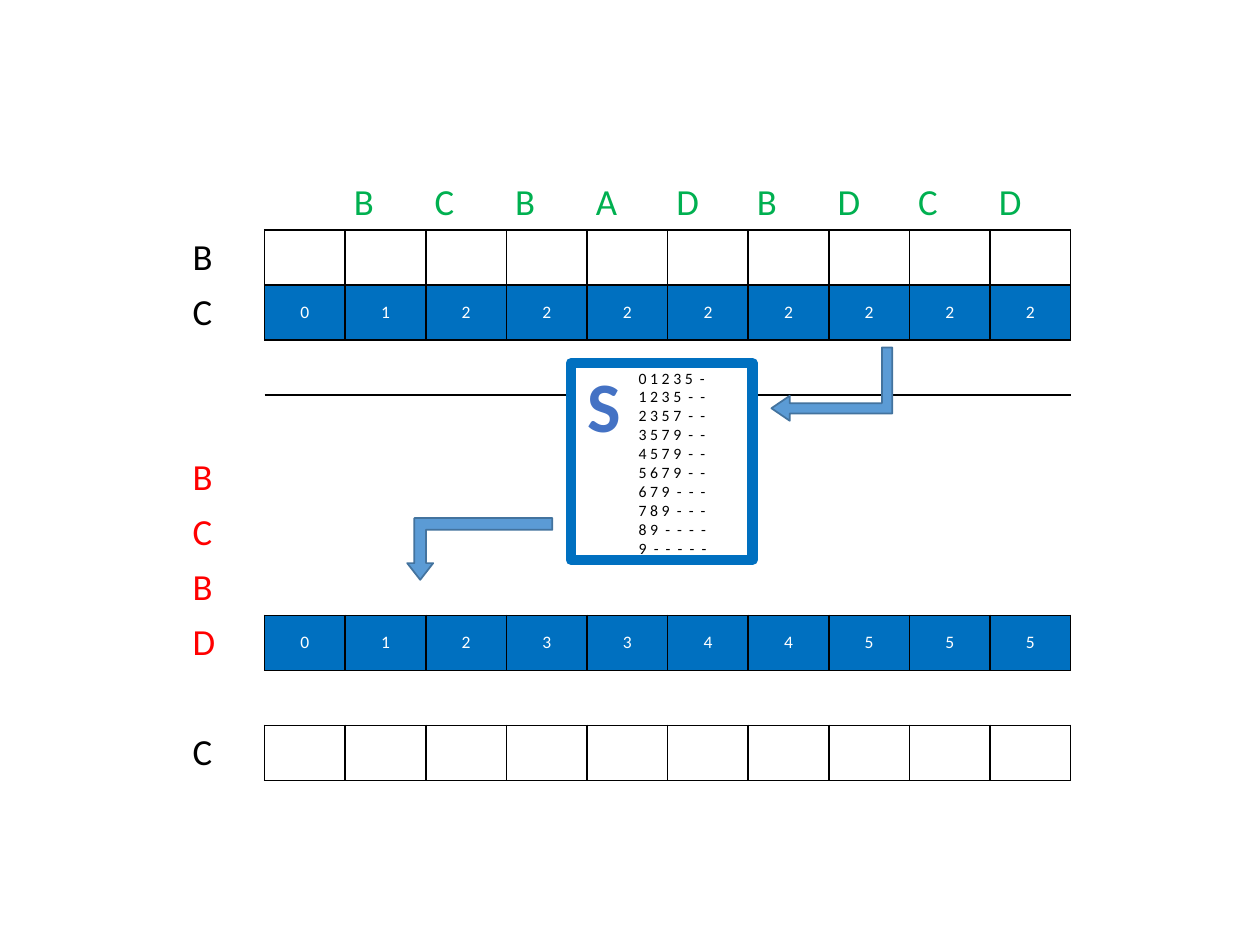
from dataclasses import dataclass

from lxml import etree
from pptx import Presentation
from pptx.dml.color import RGBColor
from pptx.enum.shapes import MSO_SHAPE
from pptx.enum.text import MSO_ANCHOR, PP_ALIGN
from pptx.oxml.ns import qn
from pptx.util import Inches, Pt

ARROW = MSO_SHAPE.BENT_UP_ARROW
RECT = MSO_SHAPE.RECTANGLE
CENTER = PP_ALIGN.CENTER
MIDDLE = MSO_ANCHOR.MIDDLE


@dataclass(frozen=True)
class Theme:
    font: str = "Calibri"
    ink: str = "000000"
    white: str = "FFFFFF"
    green: str = "00B050"
    red: str = "FF0000"
    blue: str = "0070C0"
    arrow: str = "5B9BD5"
    rim: str = "43739E"
    badge: str = "4472C4"
    label: float = 21
    value: float = 10
    code: float = 9
    big: float = 40.5


THEME = Theme()
LEFT, TOP, COL, ROW = 1.46, 1.39, 0.64, 0.43
SIZE = 11
HEAD = "BCBADBDCD"
SIDE = {1: "B", 2: "C", 5: "B", 6: "C", 7: "B", 8: "D", 10: "C"}
RED_ROWS = range(5, 9)
VALUES = {2: "0122222222", 8: "0123344555"}
BOXED = {1, 2, 8, 10}
RULE = 3  # the row with a line below it and no box
CODES = ["01235", "1235", "2357", "3579", "4579",
         "5679", "679", "789", "89", "9"]
CODE_LEN = 6


def rgb(value):
    return RGBColor.from_string(value)


def place(col, row, wide, high):
    """Turn grid columns and rows into left, top, width and height."""
    return (Inches(LEFT + col * COL), Inches(TOP + row * ROW),
            Inches(wide * COL), Inches(high * ROW))


def style(para, size, color, align=None, bold=False):
    para.font.name = THEME.font
    para.font.size = Pt(size)
    para.font.color.rgb = rgb(color)
    para.font.bold = bold
    para.alignment = align


def inset(item):
    item.margin_left = item.margin_right = Inches(0.07)
    item.margin_top = item.margin_bottom = Inches(0.04)


def boxed(row, col):
    return col > 0 and row in BOXED


def edges(cell, row, col):
    """Draw the sides shared with a boxed cell; hide the others."""
    here = boxed(row, col)
    sides = {
        "L": here or boxed(row, col - 1),
        "R": here or boxed(row, col + 1),
        "T": here or boxed(row - 1, col) or (col > 0 and row == RULE + 1),
        "B": here or boxed(row + 1, col) or (col > 0 and row == RULE),
    }
    props = cell._tc.get_or_add_tcPr()
    for side, shown in sides.items():
        line = etree.SubElement(props, qn(f"a:ln{side}"), w=str(Pt(1)))
        if shown:
            fill = etree.SubElement(line, qn("a:solidFill"))
            etree.SubElement(fill, qn("a:srgbClr"), val=THEME.ink)
        else:
            etree.SubElement(line, qn("a:noFill"))


def content(row, col):
    """Return the text, size, colour and alignment of a cell."""
    if row == 0 and col > 1:
        return HEAD[col - 2], THEME.label, THEME.green, None
    if col == 0:
        color = THEME.red if row in RED_ROWS else THEME.ink
        return SIDE.get(row, ""), THEME.label, color, None
    if row in VALUES:
        return VALUES[row][col - 1], THEME.value, THEME.white, CENTER
    return "", THEME.value, THEME.ink, None


def add_grid(slide):
    table = slide.shapes.add_table(
        SIZE, SIZE, *place(0, 0, SIZE, SIZE)).table
    table.first_row = table.horz_banding = False
    for line in table.rows:
        line.height = Inches(ROW)
    for line in table.columns:
        line.width = Inches(COL)
    for row in range(SIZE):
        for col in range(SIZE):
            cell = table.cell(row, col)
            edges(cell, row, col)
            inset(cell)
            if row in VALUES and col > 0:
                cell.fill.solid()
                cell.fill.fore_color.rgb = rgb(THEME.blue)
                cell.vertical_anchor = MIDDLE
            else:
                cell.fill.background()
            text, *look = content(row, col)
            cell.text = text
            style(cell.text_frame.paragraphs[0], *look)


def add_form(shapes, kind, area, fill, line, width):
    form = shapes.add_shape(kind, *place(*area))
    form.shadow.inherit = False
    form.fill.solid()
    form.fill.fore_color.rgb = rgb(fill)
    form.line.color.rgb = rgb(line)
    form.line.width = Pt(width)
    return form


def add_arrow(slide, area, bends, flips, turn=0):
    form = add_form(slide.shapes, ARROW, area, THEME.arrow, THEME.rim, 1)
    for index, bend in enumerate(bends):
        form.adjustments[index] = bend
    for flip in flips:
        form._element.spPr.xfrm.set(flip, "1")
    form.rotation = turn


def add_text(shapes, area, lines, *look):
    frame = shapes.add_textbox(*place(*area)).text_frame
    frame.word_wrap = False
    inset(frame)
    frame.text = "\n".join(lines)
    for para in frame.paragraphs:
        style(para, *look)


def add_panel(slide):
    shapes = slide.shapes.add_group_shape().shapes
    add_form(shapes, RECT, (4.8, 3.47, 2.25, 3.63),
             THEME.white, THEME.blue, 6)
    add_text(shapes, (4.88, 3.35, 0.66, 1.77), ["S"],
             THEME.big, THEME.badge, CENTER, True)
    lines = [" ".join(code) + "  -" * (CODE_LEN - len(code))
             for code in CODES]
    add_text(shapes, (5.53, 3.47, 1.08, 3.7), lines, THEME.code, THEME.ink)


def main():
    deck = Presentation()
    deck.slide_width, deck.slide_height = Inches(10), Inches(7.5)
    slide = deck.slides.add_slide(deck.slide_layouts[6])
    add_grid(slide)
    add_arrow(slide, (7.58, 2.74, 0.91, 2.23), (0.14, 0.17, 0.25),
              ["flipV"], 90)
    add_panel(slide)
    add_arrow(slide, (2.77, 6.33, 1.8, 1.14), (0.19, 0.21, 0.27),
              ["flipH", "flipV"])
    deck.save("out.pptx")


if __name__ == "__main__":
    main()
